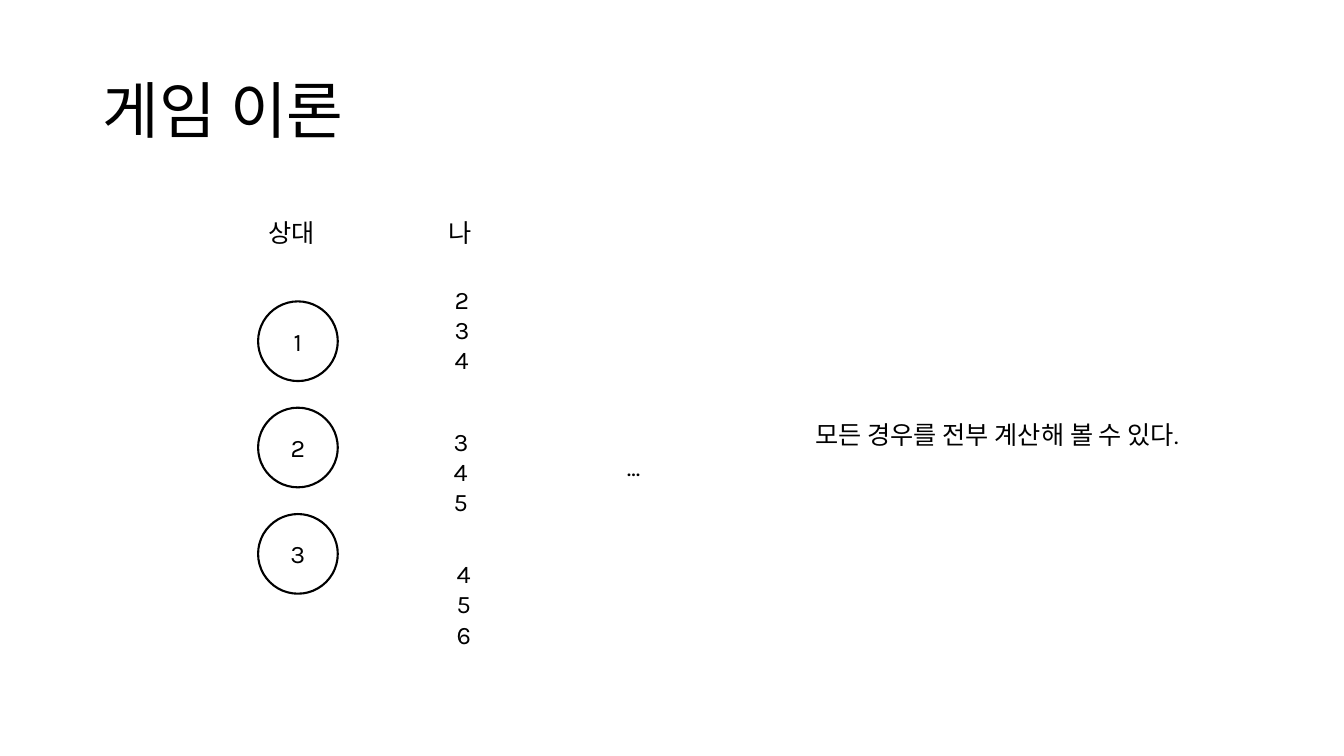
from pptx import Presentation
from pptx.dml.color import RGBColor
from pptx.enum.shapes import MSO_SHAPE
from pptx.enum.text import MSO_ANCHOR, MSO_AUTO_SIZE, PP_ALIGN
from pptx.util import Inches, Pt

BLACK = RGBColor(0, 0, 0)
WHITE = RGBColor(255, 255, 255)
FONT = "Karla"

CIRCLE_SIZE = 0.79
CIRCLE_PITCH = 1.055
# Left and top of my possible answers to each of the opponent's numbers
ANSWER_CORNERS = [(4.41, 2.77), (4.4, 4.18), (4.43, 5.49)]


def style(paragraph, size=18, align=PP_ALIGN.LEFT):
    paragraph.alignment = align
    paragraph.font.name = FONT
    paragraph.font.size = Pt(size)
    paragraph.font.color.rgb = BLACK


def add_title(slide, text, left, top, width, height):
    title = slide.shapes.title
    title.left, title.top = Inches(left), Inches(top)
    title.width, title.height = Inches(width), Inches(height)
    frame = title.text_frame
    frame.text = text
    frame.vertical_anchor = MSO_ANCHOR.MIDDLE
    style(frame.paragraphs[0], 44)
    frame.paragraphs[0].line_spacing = 0.9


def add_label(slide, text, left, top, width, height=0.4):
    """Place unwrapped text; each line becomes a paragraph."""
    label = slide.shapes.add_textbox(
        Inches(left), Inches(top), Inches(width), Inches(height))
    frame = label.text_frame
    frame.text = text
    frame.word_wrap = False
    frame.auto_size = MSO_AUTO_SIZE.SHAPE_TO_FIT_TEXT
    for paragraph in frame.paragraphs:
        style(paragraph)


def add_number_circle(slide, number, left, top):
    circle = slide.shapes.add_shape(
        MSO_SHAPE.OVAL, Inches(left), Inches(top),
        Inches(CIRCLE_SIZE), Inches(CIRCLE_SIZE))
    circle.shadow.inherit = False
    circle.fill.solid()
    circle.fill.fore_color.rgb = WHITE
    circle.line.color.rgb = BLACK
    circle.line.width = Pt(1.5)
    frame = circle.text_frame
    frame.text = str(number)
    frame.vertical_anchor = MSO_ANCHOR.MIDDLE
    style(frame.paragraphs[0], align=PP_ALIGN.CENTER)


def add_opponent_column(slide, left, top):
    add_label(slide, "상대", left, top, 0.71)
    for index in range(3):
        add_number_circle(slide, index + 1, left, top + 0.88 + index * CIRCLE_PITCH)


def add_my_column(slide, left, top):
    add_label(slide, "나", left, top, 0.45)
    for number, corner in enumerate(ANSWER_CORNERS, start=1):
        answers = "\n".join(str(number + step) for step in (1, 2, 3))
        add_label(slide, answers, *corner, 0.34, 1.01)


def main():
    presentation = Presentation()
    presentation.slide_width = Inches(13.33)
    presentation.slide_height = Inches(7.5)
    slide = presentation.slides.add_slide(presentation.slide_layouts[5])

    add_title(slide, "게임 이론", 0.92, 0.4, 11.5, 1.45)
    add_opponent_column(slide, 2.56, 2.11)
    add_my_column(slide, 4.35, 2.11)
    add_label(slide, "...", 6.12, 4.43, 0.42)
    add_label(slide, "모든 경우를 전부 계산해 볼 수 있다.", 7.99, 4.11, 4.11)

    presentation.save("out.pptx")


if __name__ == "__main__":
    main()
